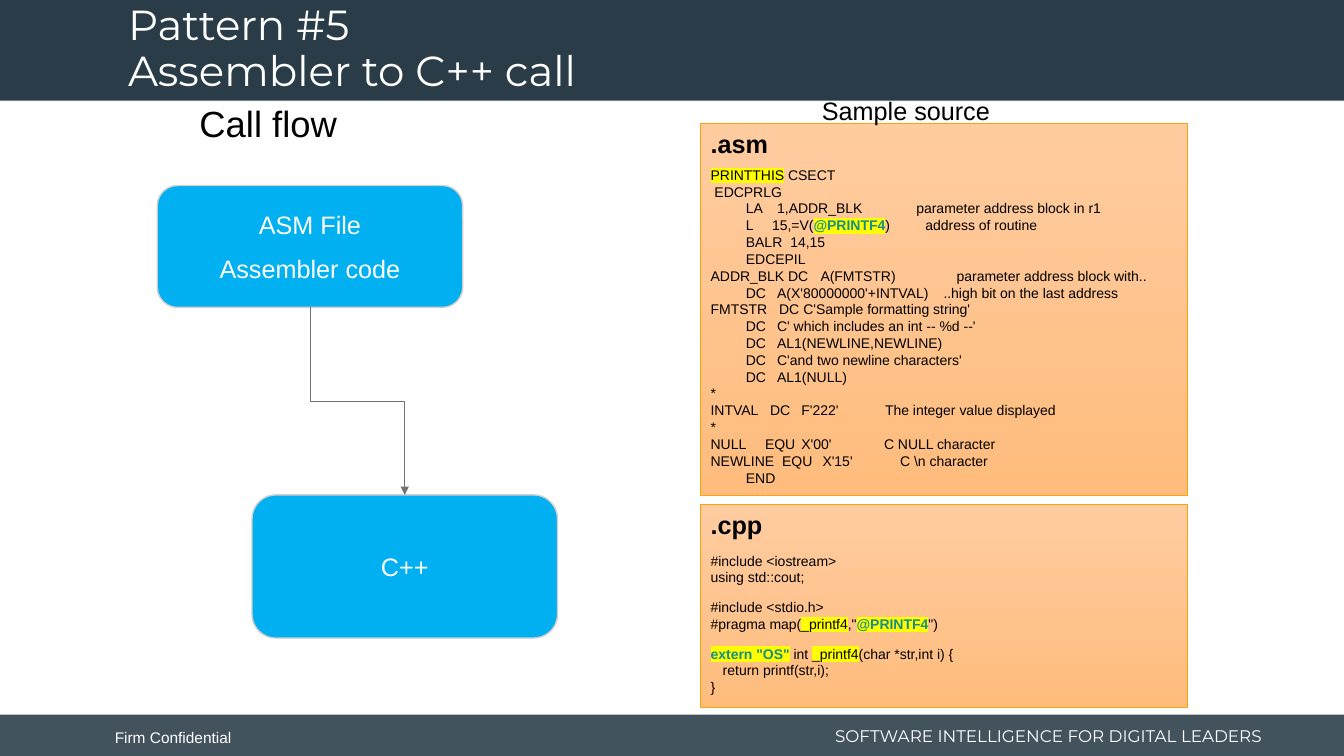
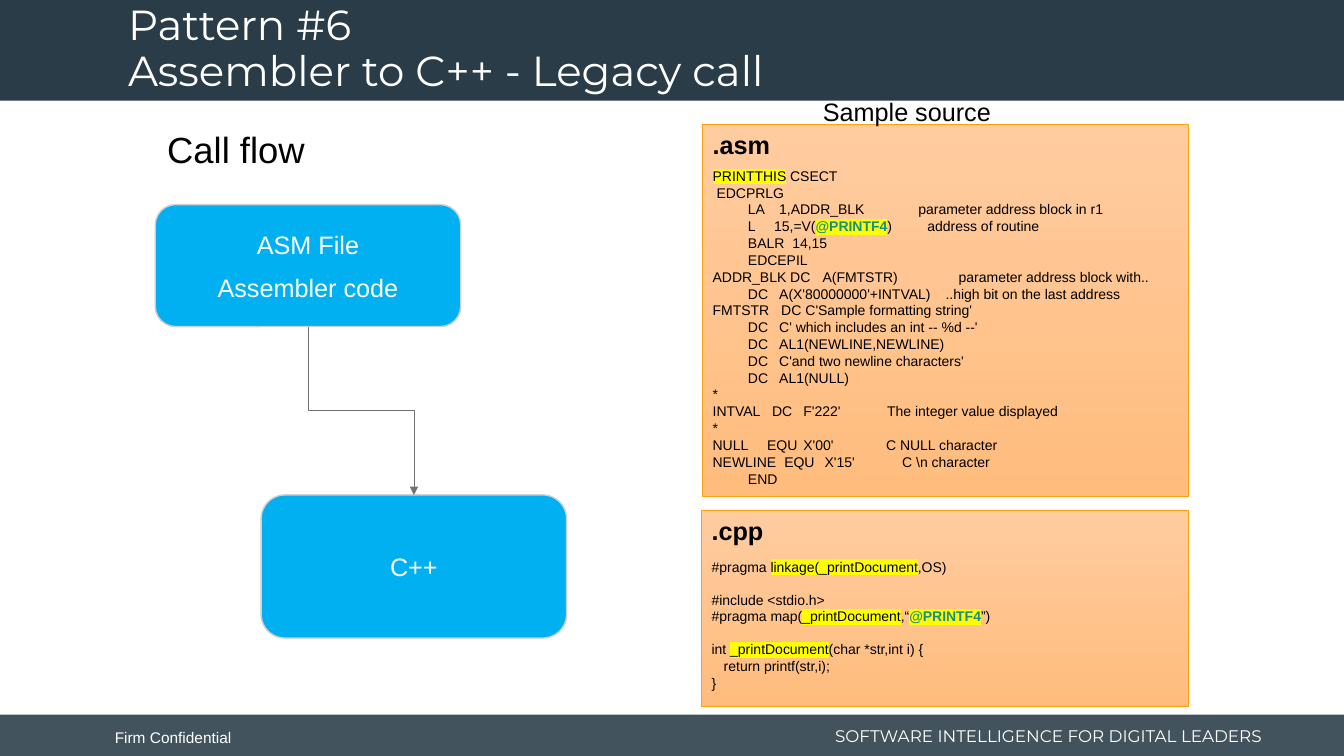
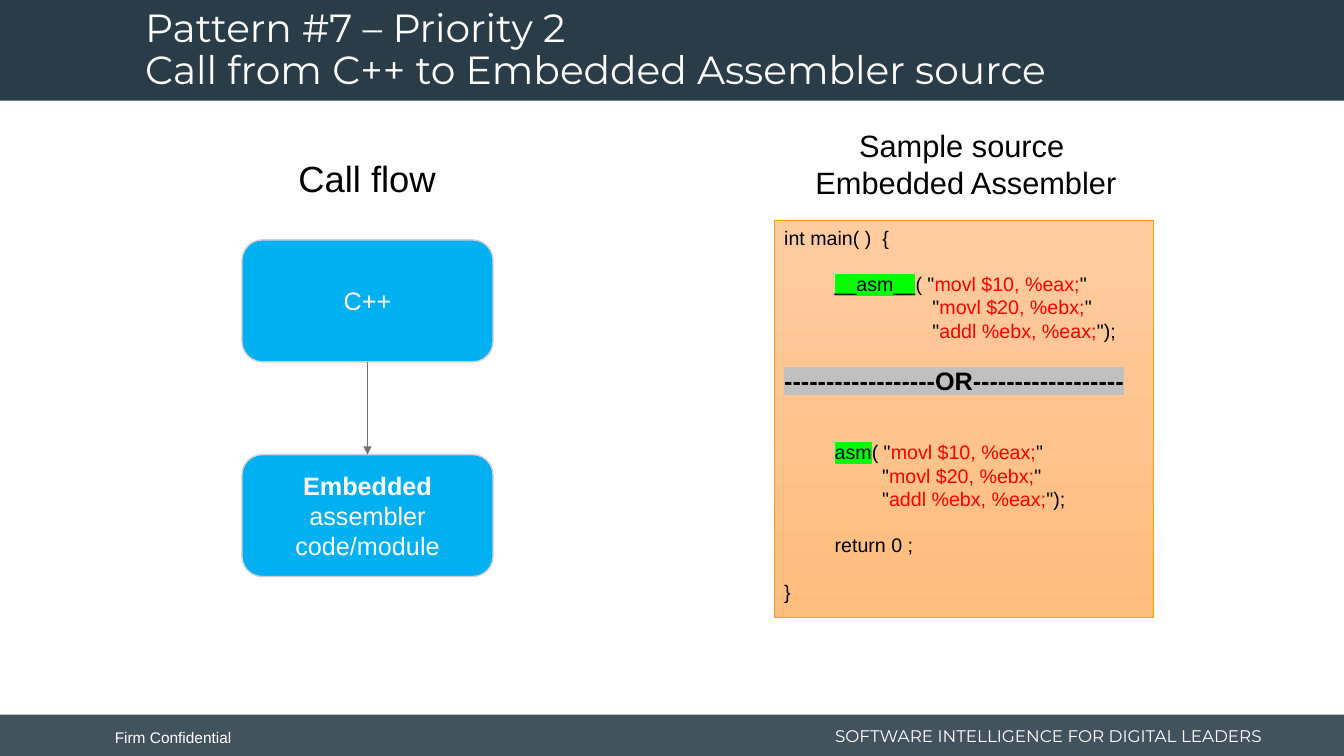
from dataclasses import dataclass
from typing import NamedTuple

from pptx import Presentation
from pptx import util as u
from pptx.dml.color import RGBColor
from pptx.enum import shapes, text
from pptx.oxml import ns, xmlchemy

NAVY, WHITE, BLACK = "293C47", "FFFFFF", "000000"
BLUE, SILVER, GREY = "00B0F0", "D0CECE", "767171"
PEACH, APRICOT, ORANGE = "FFCCA0", "FFBC7D", "FDA110"
TEAL, RED = "188E86", "FF0000"
YELLOW, LIME, ASH = "FFFF00", "00FF00", "C0C0C0"
SANS, DISPLAY = "Arial", "Montserrat"
LEFT, CENTER = text.PP_ALIGN.LEFT, text.PP_ALIGN.CENTER
TOP, MIDDLE = text.MSO_ANCHOR.TOP, text.MSO_ANCHOR.MIDDLE


class Box(NamedTuple):
    left: float
    top: float
    width: float
    height: float

    def emu(self) -> list:
        return [u.Inches(v) for v in self]


class Run(NamedTuple):
    text: str
    color: str | None = None
    bold: bool | None = None
    mark: str | None = None
    size: float | None = None


@dataclass
class Line:
    """A paragraph: runs, tab stops and indent in inches, gap above in points."""
    runs: tuple
    tabs: tuple = ()
    indent: float = 0
    gap: float = 0


@dataclass
class Heading:
    lines: list
    at: Box
    size: float
    align: text.PP_ALIGN = CENTER


@dataclass
class Panel:
    lines: list
    at: Box
    size: float = 10


@dataclass
class Node:
    lines: list
    at: Box


@dataclass
class Pattern:
    title: str
    title_at: Box
    title_size: float
    headings: list
    panels: list
    source: Node
    target: Node


def line(*runs, **kw) -> Line:
    return Line(tuple(r if isinstance(r, Run) else Run(r) for r in runs), **kw)


def rgb(value: str) -> RGBColor:
    return RGBColor.from_string(value)


def sub(parent, tag: str, **attrs):
    el = xmlchemy.OxmlElement(tag)
    for key, value in attrs.items():
        el.set(key, str(value))
    parent.append(el)
    return el


def add_run(p, run: Run, size: float, color: str, font: str) -> None:
    r = p.add_run()
    r.text = run.text
    r.font.size = u.Pt(run.size or size)
    r.font.bold = bool(run.bold)
    r.font.color.rgb = rgb(run.color or color)
    r.font.name = font
    if run.mark:
        mark = xmlchemy.OxmlElement("a:highlight")
        sub(mark, "a:srgbClr", val=run.mark)
        r.font._element.find(ns.qn("a:latin")).addprevious(mark)


def write(tf, lines: list, *, size: float, color: str = BLACK, font: str = SANS,
          align=LEFT, anchor=TOP, wrap: bool = True, spacing: float | None = None) -> None:
    tf.word_wrap = wrap
    tf.auto_size = text.MSO_AUTO_SIZE.NONE
    tf.vertical_anchor = anchor
    for i, item in enumerate(lines):
        item = line(item) if isinstance(item, str) else item
        p = tf.paragraphs[0] if i == 0 else tf.add_paragraph()
        p.alignment = align
        if spacing:
            p.line_spacing = spacing
        if item.gap:
            p.space_before = u.Pt(item.gap)
        pPr = p._p.get_or_add_pPr()
        if item.indent:
            pPr.set("marL", str(u.Inches(item.indent)))
            pPr.set("indent", "0")
        if item.tabs:
            stops = sub(pPr, "a:tabLst")
            for pos in item.tabs:
                sub(stops, "a:tab", pos=u.Inches(pos), algn="l")
        for run in item.runs:
            for n, part in enumerate(run.text.split("\n")):
                if n:
                    p.add_line_break()
                add_run(p, run._replace(text=part), size, color, font)


def add_box(s, kind, at: Box, fill: str, border: str | None = None, width: float = 1):
    sp = s.shapes.add_shape(kind, *at.emu())
    sp.shadow.inherit = False
    sp.fill.solid()
    sp.fill.fore_color.rgb = rgb(fill)
    if border:
        sp.line.color.rgb = rgb(border)
        sp.line.width = u.Pt(width)
    else:
        sp.line.fill.background()
    return sp


def add_label(s, lines: list, at: Box, **fmt):
    sp = s.shapes.add_textbox(*at.emu())
    write(sp.text_frame, lines, **fmt)
    return sp


def add_panel(s, panel: Panel) -> None:
    sp = add_box(s, shapes.MSO_SHAPE.RECTANGLE, panel.at, PEACH, ORANGE, 0.5)
    sp.fill.gradient()
    sp.fill.gradient_angle = 270
    for stop, color in zip(sp.fill.gradient_stops, (PEACH, APRICOT)):
        stop.color.rgb = rgb(color)
    write(sp.text_frame, panel.lines, size=panel.size)


def add_node(s, node: Node):
    sp = add_box(s, shapes.MSO_SHAPE.ROUNDED_RECTANGLE, node.at, BLUE, SILVER)
    write(sp.text_frame, node.lines, size=18, color=WHITE, align=CENTER, anchor=MIDDLE)
    return sp


def add_arrow(s, source, target) -> None:
    """Arrow from the bottom of one node to the top of the next."""
    straight = source.left == target.left
    kind = shapes.MSO_CONNECTOR.STRAIGHT if straight else shapes.MSO_CONNECTOR.ELBOW
    con = s.shapes.add_connector(kind, 0, 0, 0, 0)
    con.begin_connect(source, 2)
    con.end_connect(target, 0)
    con.line.color.rgb = rgb(GREY)
    con.line.width = u.Pt(0.5)
    spPr = con._element.spPr
    if not straight:
        # Turn the elbow so that it leaves and arrives vertically
        dx, dy = con.width, con.height
        con.left, con.top = con.left + (dx - dy) // 2, con.top + (dy - dx) // 2
        con.width, con.height = dy, dx
        xfrm = spPr.find(ns.qn("a:xfrm"))
        xfrm.set("rot", "16200000")
        xfrm.set("flipH", "1")
    sub(spPr.find(ns.qn("a:ln")), "a:tailEnd", type="triangle")
    sub(spPr, "a:effectLst")


def add_frame(s, layout) -> None:
    """Put the bands and footers on the layout that all slides share."""
    for ph in list(layout.placeholders):
        if ph.placeholder_format.idx >= 10:
            ph._element.getparent().remove(ph._element)
    rect = shapes.MSO_SHAPE.RECTANGLE
    footer = add_box(s, rect, Box(0, 7.09, 13.33, 0.41), NAVY)
    sub(footer._element.spPr.find(".//" + ns.qn("a:srgbClr")), "a:alpha", val=88000)
    parts = [
        footer,
        add_box(s, rect, Box(0, 0, 13.33, 1), NAVY),
        add_label(s, ["Firm Confidential"], Box(1.04, 7.17, 1.47, 0.29),
                  size=11, color=WHITE, wrap=False),
        add_label(s, ["SOFTWARE INTELLIGENCE FOR DIGITAL LEADERS"],
                  Box(8.11, 7.15, 4.58, 0.32),
                  size=12, color=WHITE, font=DISPLAY, align=CENTER),
    ]
    for sp in parts:
        layout.shapes.element.append(sp._element)


def build(s, pattern: Pattern) -> None:
    title = s.shapes.title
    title.left, title.top, title.width, title.height = pattern.title_at.emu()
    write(title.text_frame, [pattern.title], size=pattern.title_size, color=WHITE,
          font=DISPLAY, anchor=MIDDLE, spacing=0.9)
    for panel in pattern.panels:
        add_panel(s, panel)
    for h in pattern.headings:
        add_label(s, h.lines, h.at, size=h.size, align=h.align, wrap=False)
    add_arrow(s, add_node(s, pattern.source), add_node(s, pattern.target))


def call_flow(left: float, top: float) -> Heading:
    return Heading(["Call flow"], Box(left, top, 1.58, 0.54), 26, LEFT)


def sample_source(left: float, top: float) -> Heading:
    return Heading(["Sample source "], Box(left, top, 1.96, 0.4), 18)


def marked(words: str) -> Run:
    return Run(words, mark=YELLOW)


def key(words: str) -> Run:
    return Run(words, TEAL, True, YELLOW)


def name(words: str) -> Line:
    return line(Run(words, bold=True, size=18))


def movl(opening: tuple, code: str, closing: str, **kw) -> Line:
    return line(*opening, Run(code, RED), closing, **kw)


def asm_call(word: str, indent: float, gap: float) -> list:
    """An inline assembler call; its later strings start at indent."""
    return [
        movl((Run(word, mark=LIME), '( "'), "movl $10, %eax;", '"', indent=0.5, gap=gap),
        movl(('"',), "movl $20, %ebx;", '"', indent=indent),
        movl(('"',), "addl %ebx, %eax;", '");', indent=indent),
    ]


# Code listings
OP, ARG = 0.35, 0.66
ASM = [
    name(".asm"),
    line(marked("PRINTTHIS"), " CSECT", gap=5.75),
    " EDCPRLG",
    line("\tLA\t1,ADDR_BLK\tparameter address block in r1", tabs=(OP, ARG, 2.04)),
    line("\tL\t15,=V(", key("@PRINTF4"), ")\taddress of routine", tabs=(OP, 0.61, 2.13)),
    line("\tBALR\t14,15", tabs=(OP, 0.79)),
    line("\tEDCEPIL", tabs=(OP,)),
    line("ADDR_BLK DC\tA(FMTSTR)\tparameter address block with..", tabs=(1.09, 2.44)),
    line("\tDC\tA(X'80000000'+INTVAL)\t..high bit on the last address",
         tabs=(OP, ARG, 2.31)),
    line("FMTSTR\tDC\tC'Sample formatting string'", tabs=(0.68, 0.92)),
    *(line("\tDC\t" + arg, tabs=(OP, ARG)) for arg in (
        "C' which includes an int -- %d --'", "AL1(NEWLINE,NEWLINE)",
        "C'and two newline characters'", "AL1(NULL)")),
    "*",
    line("INTVAL\tDC\tF'222'\tThe integer value displayed", tabs=(0.59, 0.9, 1.73)),
    "*",
    line("NULL\tEQU\tX'00'\tC NULL character", tabs=(0.54, 0.9, 1.72)),
    line("NEWLINE\tEQU\tX'15'\tC \\n character", tabs=(0.71, 1.11, 1.88)),
    line("\tEND", tabs=(OP,)),
]
CPP_END = [line("return printf(str,i);", indent=0.12), "}"]
CPP_EXTERN = [
    name(".cpp"),
    line("#include <iostream>", gap=9.2),
    "using std::cout;",
    line("#include <stdio.h>", gap=9.2),
    line("#pragma map(", marked("_printf4"), ',"', key("@PRINTF4"), '")'),
    line(key('extern "OS"'), " int ", marked("_printf4"), "(char *str,int i) {", gap=9.2),
    *CPP_END,
]
CPP_LINKAGE = [
    name(".cpp"),
    line("#pragma ", marked("linkage(_printDocument"), ",OS)", gap=9.2),
    line("#include <stdio.h>", gap=11.5),
    line("#pragma map(", marked("_printDocument"), ",“", key("@PRINTF4"), "”)"),
    line("int ", marked("_printDocument"), "(char *str,int i) {", gap=11.5),
    *CPP_END,
]
EMBEDDED = [
    "int main( )  {",
    *asm_call("__asm__", 1.47, 16.1),
    line(Run("------------------OR------------------", bold=True, mark=ASH, size=18),
         gap=16.1),
    *asm_call("asm", 0.97, 32.2),
    line("return 0 ;", indent=0.5, gap=16.1),
    line("}", gap=16.1),
]
ASM_FILE = ["ASM File", line("Assembler code", gap=9.2)]

# Slides
PATTERNS = [
    Pattern("Pattern #5\nAssembler to C++ call", Box(1.17, 0.07, 9.58, 0.85), 30,
            [sample_source(8.04, 0.9), call_flow(1.88, 0.95)],
            [Panel(ASM, Box(6.95, 1.22, 4.83, 3.69)),
             Panel(CPP_EXTERN, Box(6.95, 5, 4.83, 2.02))],
            Node(ASM_FILE, Box(1.56, 1.84, 3.03, 1.21)),
            Node(["C++"], Box(2.5, 4.91, 3.03, 1.42))),
    Pattern("Pattern #6\nAssembler to C++ - Legacy call", Box(1.17, 0.07, 9.58, 0.85), 30,
            [sample_source(8.05, 0.91), call_flow(1.56, 1.21)],
            [Panel(ASM, Box(6.97, 1.23, 4.82, 3.69)),
             Panel(CPP_LINKAGE, Box(6.96, 5.06, 4.83, 1.95))],
            Node(ASM_FILE, Box(1.54, 2.03, 3.03, 1.21)),
            Node(["C++"], Box(2.59, 4.91, 3.03, 1.42))),
    Pattern("Pattern #7 – Priority 2\nCall from C++ to Embedded Assembler source",
            Box(1.34, 0.14, 9.58, 0.73), 28,
            [call_flow(2.86, 1.5),
             Heading(["Sample source ", "Embedded Assembler"],
                     Box(7.97, 1.21, 3.22, 0.84), 22)],
            [Panel(EMBEDDED, Box(7.68, 2.19, 3.76, 3.94), 14)],
            Node(["C++"], Box(2.4, 2.38, 2.49, 1.21)),
            Node([line(Run("Embedded", bold=True), " assembler code/module")],
                 Box(2.4, 4.51, 2.49, 1.21))),
]


def main() -> None:
    prs = Presentation()
    prs.slide_width, prs.slide_height = u.Inches(13.33), u.Inches(7.5)
    layout = prs.slide_layouts[5]
    for i, pattern in enumerate(PATTERNS):
        s = prs.slides.add_slide(layout)
        if i == 0:
            add_frame(s, layout)
        build(s, pattern)
    prs.save("out.pptx")


if __name__ == "__main__":
    main()
